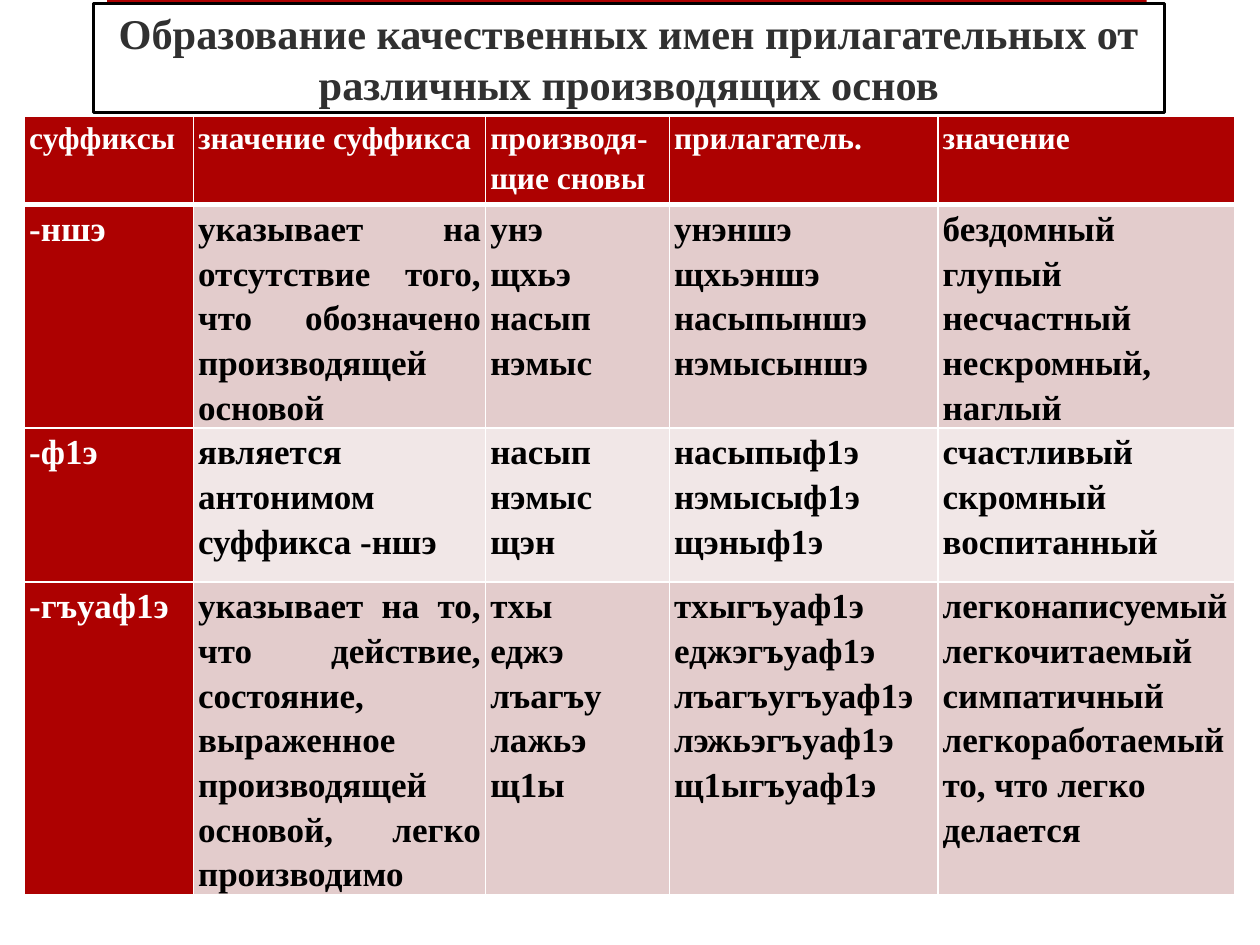
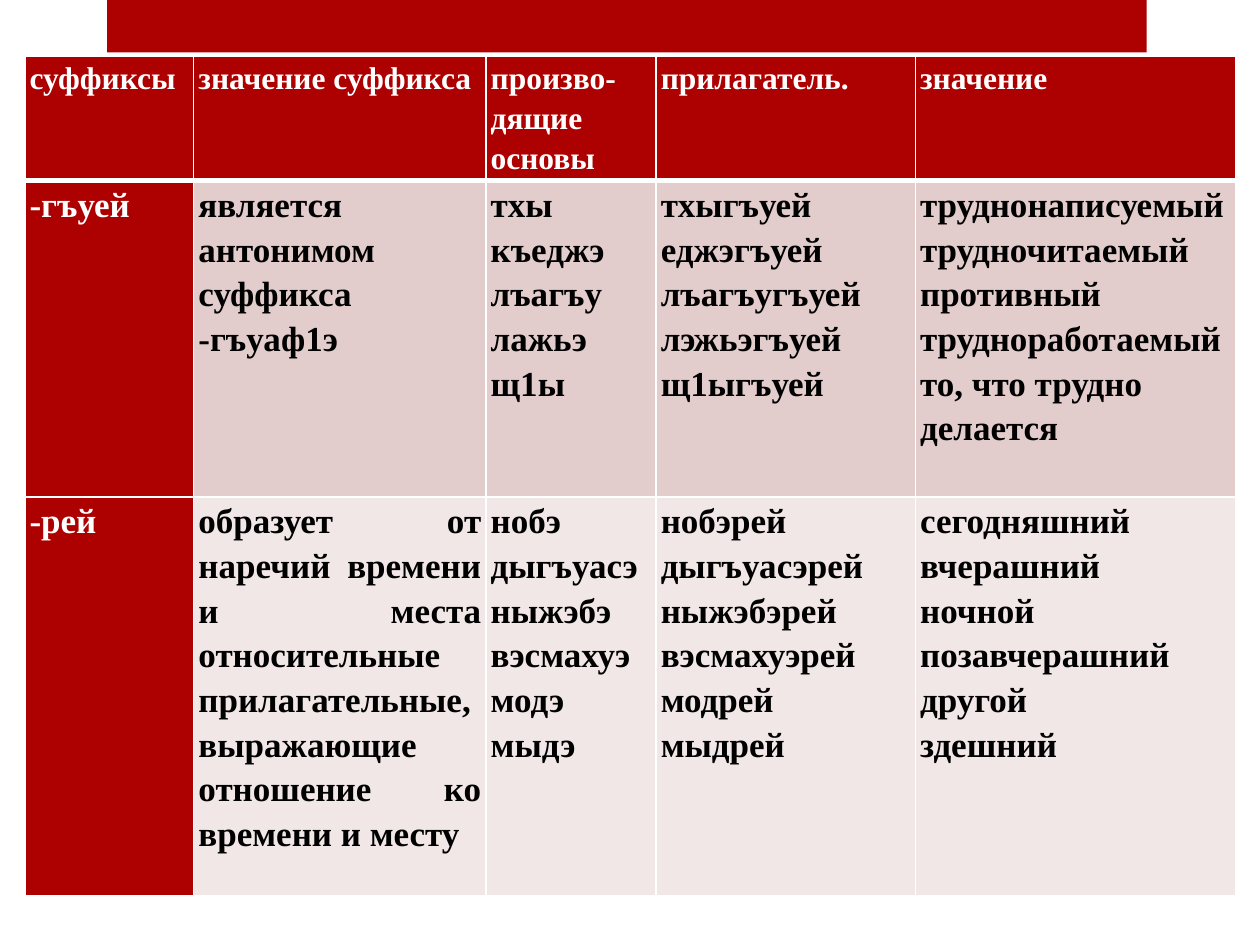
"""Build two slides of tables on suffixes that form qualitative adjectives."""
from dataclasses import dataclass

from lxml.etree import SubElement
from pptx import Presentation
from pptx.dml.color import RGBColor
from pptx.enum.shapes import MSO_SHAPE
from pptx.enum.text import MSO_ANCHOR, PP_ALIGN
from pptx.oxml.ns import qn
from pptx.util import Pt

TITLE = "Образование качественных имен прилагательных от различных производящих основ"

TABLES = [
    {
        "title": TITLE,
        "left": 14, "top": 66.5,
        "columns": [96.5, 167, 105, 153.5, 169.8],
        "heights": [50.4, 127.5, 88, 178],
        "rows": [
            ["суффиксы", "значение суффикса", "производя-щие сновы", "прилагатель.", "значение"],
            ["-ншэ", "указывает на отсутствие того, что обозначено производящей основой",
             "унэ\nщхьэ\nнасып\nнэмыс",
             "унэншэ\nщхьэншэ\nнасыпыншэ\nнэмысыншэ",
             "бездомный\nглупый\nнесчастный\nнескромный, наглый"],
            ["-ф1э", "является антонимом суффикса -ншэ",
             "насып\nнэмыс\nщэн",
             "насыпыф1э\nнэмысыф1э\nщэныф1э",
             "счастливый скромный воспитанный"],
            ["-гъуаф1э", "указывает на то, что действие, состояние, выраженное "
             "производящей основой, легко производимо",
             "тхы\nеджэ\nлъагъу\nлажьэ\nщ1ы",
             "тхыгъуаф1э\nеджэгъуаф1э\nлъагъугъуаф1э\nлэжьэгъуаф1э\nщ1ыгъуаф1э",
             "легконаписуемый\nлегкочитаемый\nсимпатичный\nлегкоработаемый\n"
             "то, что легко делается"],
        ],
    },
    {
        "title": None,
        "left": 14.2, "top": 32,
        "columns": [96.5, 167, 97.2, 148.2, 182.8],
        "heights": [71.2, 180.7, 228.2],
        "rows": [
            ["суффиксы", "значение суффикса", "произво-дящие основы", "прилагатель.", "значение"],
            ["-гъуей", "является антонимом суффикса\n-гъуаф1э",
             "тхы\nкъеджэ\nлъагъу\nлажьэ\nщ1ы",
             "тхыгъуей\nеджэгъуей\nлъагъугъуей\nлэжьэгъуей\nщ1ыгъуей",
             "труднонаписуемый\nтрудночитаемый\nпротивный\nтрудноработаемый\n"
             "то, что трудно делается"],
            ["-рей", "образует от наречий времени и места относительные прилагательные, "
             "выражающие отношение ко времени и месту",
             "нобэ\nдыгъуасэ\nныжэбэ\nвэсмахуэ\nмодэ\nмыдэ",
             "нобэрей\nдыгъуасэрей\nныжэбэрей\nвэсмахуэрей\nмодрей\nмыдрей",
             "сегодняшний\nвчерашний\nночной\nпозавчерашний\nдругой\nздешний"],
        ],
    },
]


@dataclass(frozen=True)
class Theme:
    font: str = "Times New Roman"
    red: str = "AD0101"
    white: str = "FFFFFF"
    black: str = "000000"
    title: str = "303030"
    stripes: tuple = ("F1E7E7", "E3CCCC")
    title_size: float = 24.2
    header_size: float = 18
    body_size: float = 20
    thin: float = 1
    thick: float = 3


THEME = Theme()


def write(frame, text, *, size, color, align=PP_ALIGN.LEFT, spacing=1.0):
    frame.word_wrap = True
    for index, line in enumerate(text.split("\n")):
        para = frame.paragraphs[0] if index == 0 else frame.add_paragraph()
        para.alignment = align
        para.line_spacing = spacing
        span = para.add_run()
        span.text = line
        span.font.name = THEME.font
        span.font.size = Pt(size)
        span.font.bold = True
        span.font.color.rgb = RGBColor.from_string(color)


def add_box(page, left, top, width, height, fill, border=None):
    box = page.shapes.add_shape(
        MSO_SHAPE.RECTANGLE, Pt(left), Pt(top), Pt(width), Pt(height))
    box.shadow.inherit = False
    box.fill.solid()
    box.fill.fore_color.rgb = RGBColor.from_string(fill)
    if border:
        box.line.color.rgb = RGBColor.from_string(border)
        box.line.width = Pt(1.75)
    else:
        box.line.fill.background()
    return box


def add_title(page, text):
    box = add_box(page, 53.5, 2, 612, 62.5, THEME.white, THEME.black)
    box.text_frame.vertical_anchor = MSO_ANCHOR.MIDDLE
    write(box.text_frame, text, size=THEME.title_size, color=THEME.title,
          align=PP_ALIGN.CENTER)


def set_borders(cell, row):
    properties = cell._tc.get_or_add_tcPr()
    thick_edge = {0: "lnB", 1: "lnT"}.get(row)
    for edge in ("lnL", "lnR", "lnT", "lnB"):
        width = THEME.thick if edge == thick_edge else THEME.thin
        line = SubElement(properties, qn(f"a:{edge}"), w=str(Pt(width)))
        fill = SubElement(line, qn("a:solidFill"))
        SubElement(fill, qn("a:srgbClr"), val=THEME.white)


def format_cell(cell, text, row, column):
    on_red = row == 0 or column == 0
    cell.margin_left = cell.margin_right = Pt(2.7)
    cell.margin_top = cell.margin_bottom = 0
    set_borders(cell, row)
    cell.fill.solid()
    cell.fill.fore_color.rgb = RGBColor.from_string(
        THEME.red if on_red else THEME.stripes[row % 2])
    write(cell.text_frame, text, spacing=1.15,
          size=THEME.header_size if row == 0 else THEME.body_size,
          color=THEME.white if on_red else THEME.black,
          align=PP_ALIGN.JUSTIFY if row == 0 or column < 2 else PP_ALIGN.LEFT)


def add_suffix_table(page, content):
    rows, columns, heights = content["rows"], content["columns"], content["heights"]
    table = page.shapes.add_table(
        len(rows), len(columns), Pt(content["left"]), Pt(content["top"]),
        Pt(sum(columns)), Pt(sum(heights))).table
    for column, width in zip(table.columns, columns):
        column.width = Pt(width)
    for row, height in zip(table.rows, heights):
        row.height = Pt(height)
    for row, texts in enumerate(rows):
        for column, text in enumerate(texts):
            format_cell(table.cell(row, column), text, row, column)


def main():
    deck = Presentation()
    deck.slide_width, deck.slide_height = Pt(720), Pt(540)
    for content in TABLES:
        page = deck.slides.add_slide(deck.slide_layouts[6])
        add_box(page, 61.2, 0, 594, 30, THEME.red)
        if content["title"]:
            add_title(page, content["title"])
        add_suffix_table(page, content)
    deck.save("out.pptx")


if __name__ == "__main__":
    main()
